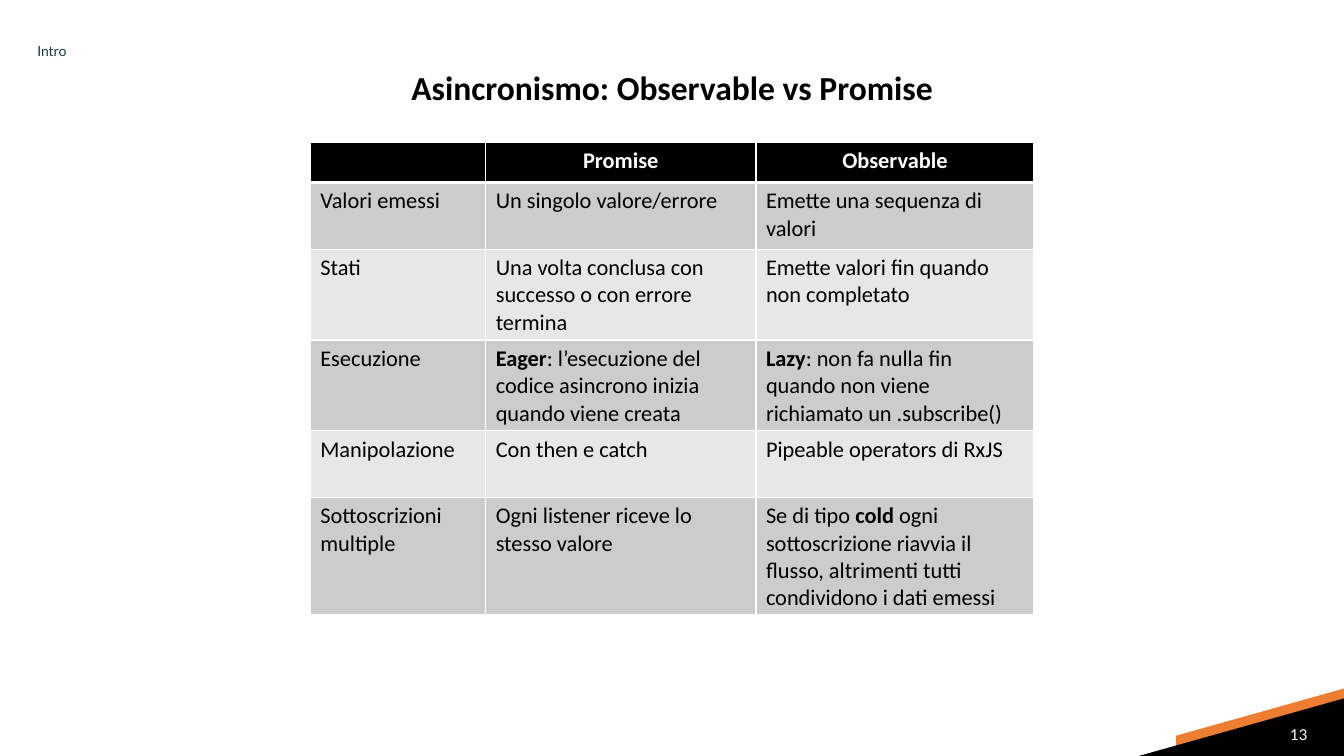
from lxml.etree import SubElement
from pptx import Presentation
from pptx.dml.color import RGBColor
from pptx.enum.text import MSO_ANCHOR as Anchor, PP_ALIGN as Align
from pptx.oxml.ns import qn
from pptx.util import Cm, Pt

COLOURS = {
    "white": "FFFFFF",
    "black": "000000",
    "orange": "ED7D31",
    "teal": "1A3B47",
    "dark_band": "CCCCCC",
    "light_band": "E7E7E7",
}
COLUMN_WIDTHS = [4.42, 6.81, 7.01]
HEADER_HEIGHT, BODY_HEIGHT = 1.02, 1.68
COMPARISON = [
    ["", "Promise", "Observable"],
    ["Valori emessi", "Un singolo valore/errore", "Emette una sequenza di valori"],
    ["Stati", "Una volta conclusa con successo o con errore termina",
     "Emette valori fin quando non completato"],
    ["Esecuzione",
     "**Eager**: l’esecuzione del codice asincrono inizia quando viene creata",
     "**Lazy**: non fa nulla fin quando non viene richiamato un .subscribe()"],
    ["Manipolazione", "Con then e catch", "Pipeable operators di RxJS"],
    ["Sottoscrizioni multiple", "Ogni listener riceve lo stesso valore",
     "Se di tipo **cold** ogni sottoscrizione riavvia il flusso, "
     "altrimenti tutti condividono i dati emessi"],
]


def colour(name):
    return RGBColor.from_string(COLOURS[name])


def apply_format(target, values):
    for name, value in values.items():
        setattr(target, name, value)


def write_text(frame, text, font, colour_name, para_format):
    para = frame.paragraphs[0]
    apply_format(para, para_format)
    for index, part in enumerate(text.split("**")):
        if part:
            span = para.add_run()
            span.text = part
            apply_format(span.font, {"bold": index % 2 == 1, **font})
            span.font.color.rgb = colour(colour_name)


def place(shape, box):
    lengths = [Cm(value) for value in box]
    apply_format(shape, dict(zip(("left", "top", "width", "height"), lengths)))


def add_title(page, box):
    title = page.shapes.title
    place(title, box)
    apply_format(title.text_frame, {
        "margin_left": 0, "margin_top": 0, "margin_right": 0, "margin_bottom": 0,
        "vertical_anchor": Anchor.TOP, "word_wrap": True,
    })
    write_text(title.text_frame, "Asincronismo: Observable vs Promise",
               {"name": "Calibri", "size": Pt(24), "bold": True}, "black",
               {"alignment": Align.CENTER, "line_spacing": 0.9})


def add_section_label(page, box):
    label = page.shapes.add_textbox(*[Cm(value) for value in box])
    apply_format(label.text_frame, {"margin_left": 0, "word_wrap": True})
    write_text(label.text_frame, "Intro", {"name": "Lato", "size": Pt(10)}, "teal",
               {"line_spacing": 0.9, "space_before": Pt(10)})


def set_borders(cell, row):
    properties = cell._tc.get_or_add_tcPr()
    widths = {"a:lnL": 1, "a:lnR": 1,
              "a:lnT": 3 if row == 1 else 1, "a:lnB": 3 if row == 0 else 1}
    for tag, width in widths.items():
        line = SubElement(properties, qn(tag), w=str(Pt(width)))
        fill = SubElement(line, qn("a:solidFill"))
        SubElement(fill, qn("a:srgbClr"), val=COLOURS["white"])


def add_comparison(page, box):
    frame = page.shapes.add_table(len(COMPARISON), len(COLUMN_WIDTHS),
                                  *[Cm(value) for value in box])
    table = frame.table
    for column, width in zip(table.columns, COLUMN_WIDTHS):
        column.width = Cm(width)
    for row, texts in enumerate(COMPARISON):
        header = row == 0
        table.rows[row].height = Cm(HEADER_HEIGHT if header else BODY_HEIGHT)
        band = "black" if header else "dark_band" if row % 2 else "light_band"
        font = {"name": "Calibri", "size": Pt(16)}
        if header:
            font["bold"] = True
        for column, text in enumerate(texts):
            cell = table.cell(row, column)
            set_borders(cell, row)
            cell.fill.solid()
            cell.fill.fore_color.rgb = colour(band)
            write_text(cell.text_frame, text, font, "white" if header else "black",
                       {"alignment": Align.CENTER if header else Align.LEFT})
    place(frame, box)


def add_corner(page, box):
    left, top, width, height = box
    wedges = {
        "orange": [(width, 1.07), (width, 0), (0.94, 1.19), (0.94, 1.67)],
        "black": [(0, height), (width, 0.25), (width, height)],
    }
    for name, offsets in wedges.items():
        points = [(Cm(left + x), Cm(top + y)) for x, y in offsets]
        builder = page.shapes.build_freeform(*points[0])
        builder.add_line_segments(points[1:], close=True)
        wedge = builder.convert_to_shape()
        wedge.shadow.inherit = False
        wedge.fill.solid()
        wedge.fill.fore_color.rgb = colour(name)
        wedge.line.fill.background()
    number = page.shapes.add_textbox(Cm(left + 3.18), Cm(top + 0.71), Cm(1.07), Cm(0.89))
    apply_format(number.text_frame, {
        "margin_left": 0, "margin_top": 0, "margin_right": 0, "margin_bottom": 0,
        "vertical_anchor": Anchor.MIDDLE, "word_wrap": True,
    })
    write_text(number.text_frame, "13", {"name": "Lato", "size": Pt(10.7)}, "white",
               {"alignment": Align.RIGHT})


def main():
    deck = Presentation()
    apply_format(deck, {"slide_width": Cm(33.87), "slide_height": Cm(19.05)})
    page = deck.slides.add_slide(deck.slide_layouts[5])
    add_corner(page, (28.7, 17.35, 5.17, 1.7))
    add_title(page, (0.94, 1.8, 32, 1.12))
    add_section_label(page, (0.94, 0.99, 32, 0.71))
    add_comparison(page, (7.82, 3.58, sum(COLUMN_WIDTHS), 11.91))
    deck.save("out.pptx")


if __name__ == "__main__":
    main()
